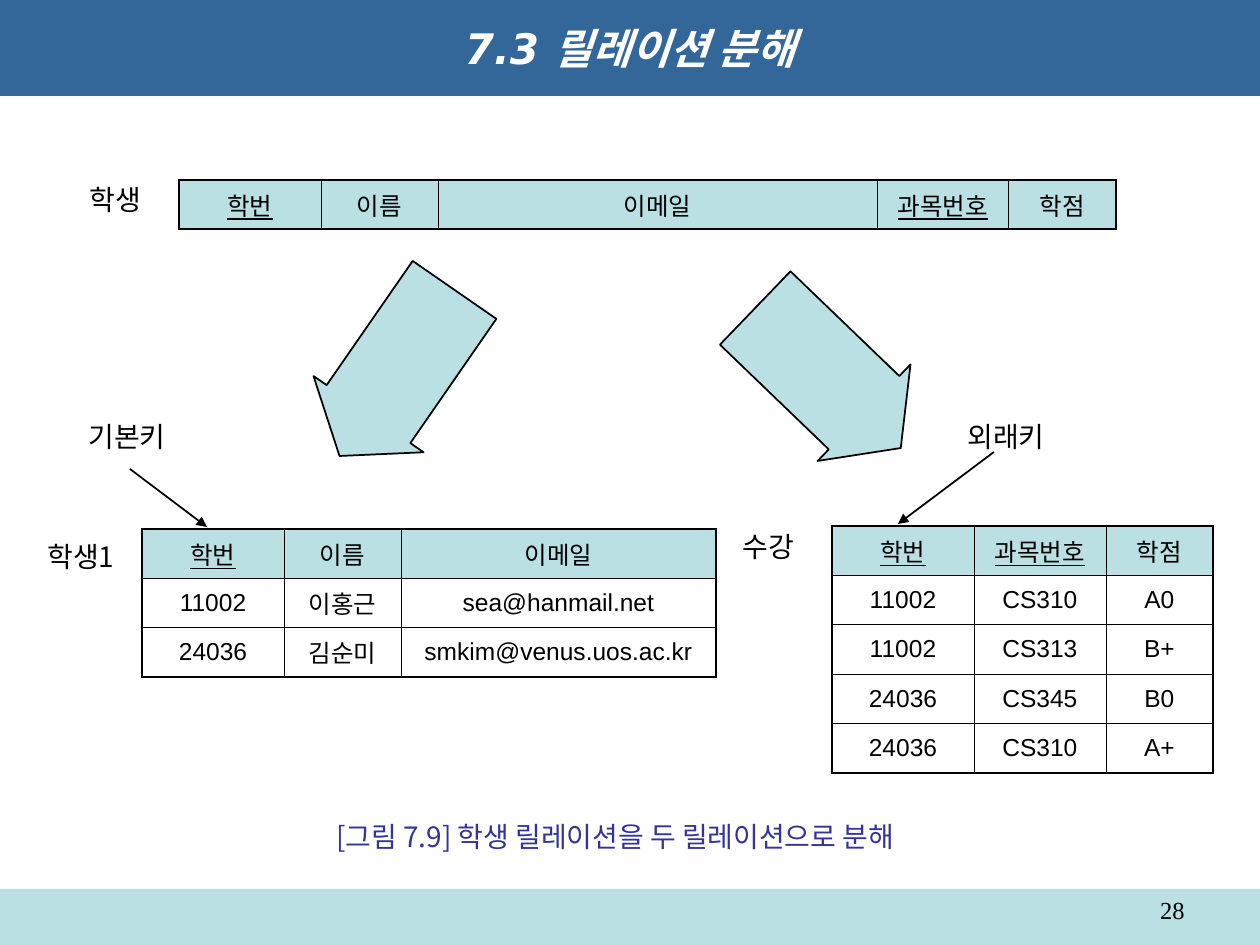
import dataclasses

import lxml.etree
import pptx
import pptx.dml.color
import pptx.enum.shapes
import pptx.enum.text
import pptx.oxml.ns
import pptx.util

ALIGN = pptx.enum.text.PP_ALIGN
ANCHOR = pptx.enum.text.MSO_ANCHOR
AUTO_SIZE = pptx.enum.text.MSO_AUTO_SIZE
SHAPES = pptx.enum.shapes.MSO_SHAPE
EMU_PER_PX = 914400 / 126


@dataclasses.dataclass(frozen=True)
class Theme:
    band: str = "336699"
    pale: str = "BBE0E3"
    ink: str = "000000"
    white: str = "FFFFFF"
    caption: str = "333399"
    title_font: str = "DejaVu Sans"
    label_font: str = "Noto Sans CJK JP"
    caption_font: str = "Noto Sans CJK KR"
    table_font: str = "Arial"
    number_font: str = "Times New Roman"
    korean_font: str = "Noto Sans CJK KR"
    title_size: int = 24
    label_size: int = 16
    small_size: int = 14
    line: float = 1
    outer_border: float = 1.08
    inner_border: float = 0.45


def emu(px):
    return pptx.util.Emu(round(px * EMU_PER_PX))


def rgb(color):
    return pptx.dml.color.RGBColor.from_string(color)


def add_element(parent, tag, **attributes):
    return lxml.etree.SubElement(parent, pptx.oxml.ns.qn(tag), attributes)


class SlideBuilder:
    def __init__(self, slide, theme):
        self.slide = slide
        self.theme = theme

    def style_text(self, text_frame, text, font, size, color, align=ALIGN.LEFT,
                   bold=False, italic=False, underline=False):
        text_frame.text = text
        paragraph = text_frame.paragraphs[0]
        paragraph.alignment = align
        for run in paragraph.runs:
            run.font.name = font
            run.font.size = pptx.util.Pt(size)
            run.font.color.rgb = rgb(color)
            run.font.bold = bold
            run.font.italic = italic
            run.font.underline = underline
            add_element(run._r.get_or_add_rPr(), "a:ea",
                        typeface=self.theme.korean_font)

    def title(self, text, left, top, width, height):
        theme = self.theme
        shape = self.slide.shapes.title
        shape.left, shape.top = emu(left), emu(top)
        shape.width, shape.height = emu(width), emu(height)
        shape.fill.solid()
        shape.fill.fore_color.rgb = rgb(theme.band)
        shape.text_frame.auto_size = AUTO_SIZE.NONE
        shape.text_frame.vertical_anchor = ANCHOR.MIDDLE
        self.style_text(shape.text_frame, text, theme.title_font,
                        theme.title_size, theme.white, ALIGN.CENTER,
                        bold=True, italic=True)

    def shape(self, kind, left, top, width, height, outlined=False):
        shape = self.slide.shapes.add_shape(
            kind, emu(left), emu(top), emu(width), emu(height))
        shape.shadow.inherit = False
        shape.fill.solid()
        shape.fill.fore_color.rgb = rgb(self.theme.pale)
        if outlined:
            shape.line.color.rgb = rgb(self.theme.ink)
            shape.line.width = pptx.util.Pt(self.theme.line)
        else:
            shape.line.fill.background()
        return shape

    def block_arrow(self, left, top, rotation):
        arrow = self.shape(SHAPES.DOWN_ARROW, left, top, 134, 202, outlined=True)
        arrow.rotation = rotation
        arrow.adjustments[0] = 0.76
        arrow.adjustments[1] = 0.38

    def text(self, text, left, top, width, height, font, size, color,
             align=ALIGN.LEFT, wrap=False, anchor=ANCHOR.TOP):
        box = self.slide.shapes.add_textbox(
            emu(left), emu(top), emu(width), emu(height))
        frame = box.text_frame
        frame.word_wrap = wrap
        frame.auto_size = AUTO_SIZE.NONE if wrap else AUTO_SIZE.SHAPE_TO_FIT_TEXT
        frame.vertical_anchor = anchor
        self.style_text(frame, text, font, size, color, align)

    def label(self, text, left, top, width):
        theme = self.theme
        self.text(text, left, top, width, 47, theme.label_font,
                  theme.label_size, theme.ink)

    def pointer(self, start, end):
        connector = self.slide.shapes.add_connector(
            pptx.enum.shapes.MSO_CONNECTOR.STRAIGHT,
            *(emu(value) for value in (*start, *end)))
        connector.line.color.rgb = rgb(self.theme.ink)
        connector.line.width = pptx.util.Pt(self.theme.line)
        properties = connector.element.spPr
        add_element(properties.find(pptx.oxml.ns.qn("a:ln")), "a:tailEnd",
                    type="triangle")
        add_element(properties, "a:effectLst")

    def borders(self, cell, outer_sides):
        properties = cell._tc.get_or_add_tcPr()
        for side, outer in outer_sides.items():
            width = self.theme.outer_border if outer else self.theme.inner_border
            line = add_element(properties, f"a:ln{side}",
                               w=str(int(pptx.util.Pt(width))))
            fill = add_element(line, "a:solidFill")
            add_element(fill, "a:srgbClr", val=self.theme.ink)

    def table(self, rows, keys, left, top, widths, height):
        theme = self.theme
        table = self.slide.shapes.add_table(
            len(rows), len(widths), emu(left), emu(top),
            emu(sum(widths)), emu(height)).table
        table.first_row = table.horz_banding = False
        for column, width in zip(table.columns, widths):
            column.width = emu(width)
        last_row, last_column = len(rows) - 1, len(widths) - 1
        for i, row in enumerate(rows):
            for j, text in enumerate(row):
                cell = table.cell(i, j)
                self.borders(cell, {"L": j == 0, "R": j == last_column,
                                    "T": i == 0, "B": i == last_row})
                if i == 0:
                    cell.fill.solid()
                    cell.fill.fore_color.rgb = rgb(theme.pale)
                else:
                    cell.fill.background()
                cell.vertical_anchor = ANCHOR.MIDDLE
                self.style_text(cell.text_frame, text, theme.table_font,
                                theme.small_size, theme.ink, ALIGN.CENTER,
                                underline=i == 0 and text in keys)


def main():
    presentation = pptx.Presentation()
    presentation.slide_width, presentation.slide_height = emu(1260), emu(945)
    slide = presentation.slides.add_slide(presentation.slide_layouts[5])
    theme = Theme()
    builder = SlideBuilder(slide, theme)

    # Title, footer band and page number
    builder.title("7.3 릴레이션 분해", 0, 0, 1260, 96)
    builder.shape(SHAPES.RECTANGLE, 0, 889, 1260, 56)
    builder.text("28", 903, 889, 294, 37, theme.number_font, theme.small_size,
                 theme.ink, ALIGN.RIGHT, wrap=True)

    # Relation before the decomposition
    number, name, email, course, grade = 142, 117, 439, 132, 107
    keys = {"학번", "과목번호"}
    builder.label("학생", 77, 176, 79)
    builder.table([["학번", "이름", "이메일", "과목번호", "학점"]], keys,
                  179, 180, [number, name, email, course, grade], 49)

    # Relations after the decomposition
    builder.label("학생1", 35, 533, 102)
    builder.table([["학번", "이름", "이메일"],
                   ["11002", "이홍근", "sea@hanmail.net"],
                   ["24036", "김순미", "smkim@venus.uos.ac.kr"]], keys,
                  142, 529, [number, name, 315], 148)
    builder.label("수강", 730, 523, 79)
    builder.table([["학번", "과목번호", "학점"],
                   ["11002", "CS310", "A0"],
                   ["11002", "CS313", "B+"],
                   ["24036", "CS345", "B0"],
                   ["24036", "CS310", "A+"]], keys,
                  832, 526, [number, course, grade], 247)

    # Key labels with pointers
    builder.label("기본키", 76, 413, 106)
    builder.pointer((130, 469), (207, 527))
    builder.label("외래키", 955, 413, 106)
    builder.pointer((994, 452), (898, 524))

    # Decomposition arrows
    builder.block_arrow(330, 272, 34.7)
    builder.block_arrow(761, 277, 313.9)

    # Caption
    builder.text("[그림 7.9] 학생 릴레이션을 두 릴레이션으로 분해", 324, 813, 640, 47,
                 theme.caption_font, theme.label_size, theme.caption,
                 anchor=ANCHOR.MIDDLE)

    presentation.save("out.pptx")


if __name__ == "__main__":
    main()
